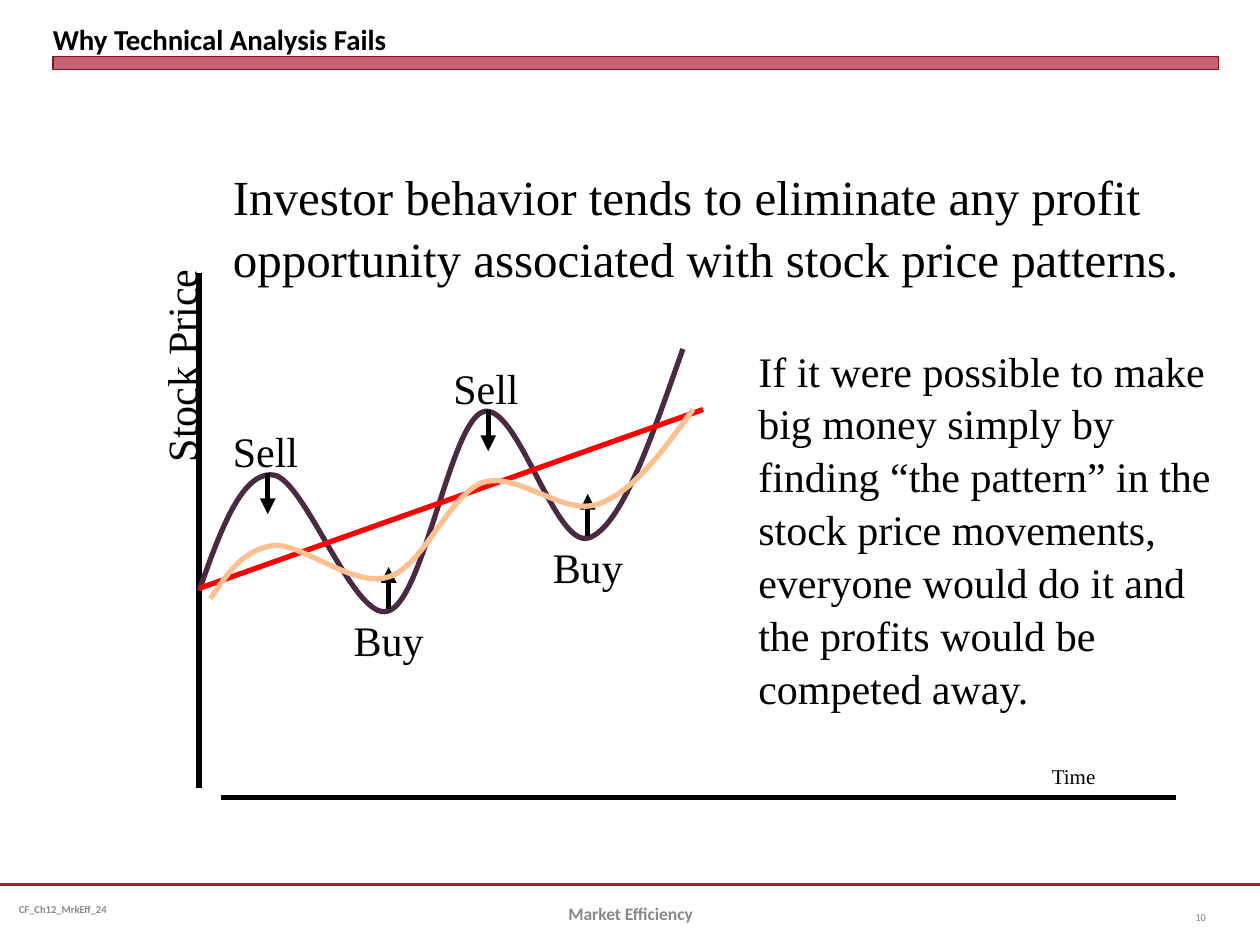
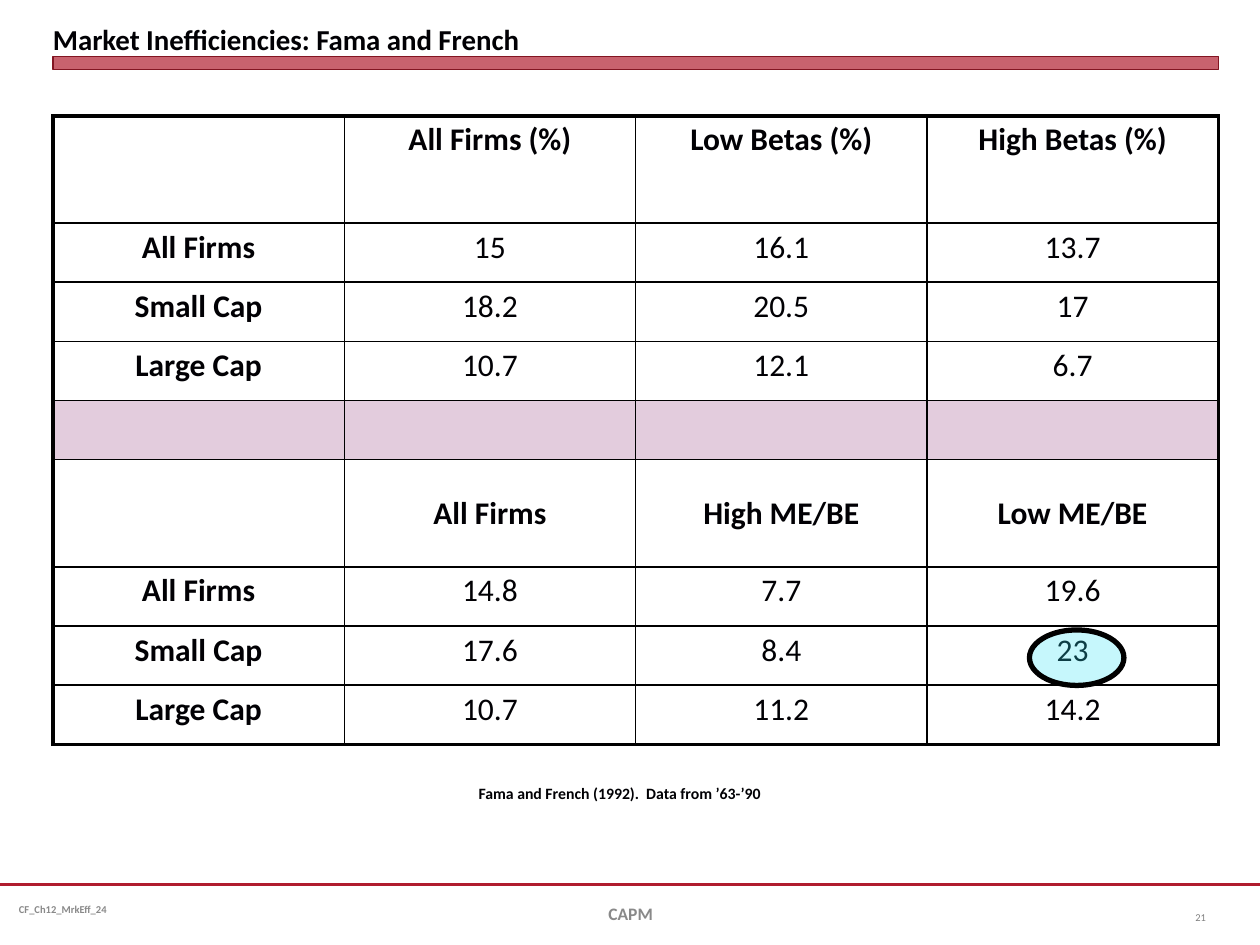
from lxml import etree
from pptx import Presentation
from pptx.dml.color import RGBColor
from pptx.enum.shapes import MSO_CONNECTOR, MSO_SHAPE
from pptx.enum.text import MSO_ANCHOR, PP_ALIGN
from pptx.oxml.ns import qn
from pptx.util import Inches, Pt

STRAIGHT = MSO_CONNECTOR.STRAIGHT
RECTANGLE, OVAL = MSO_SHAPE.RECTANGLE, MSO_SHAPE.OVAL
TOP, MIDDLE, BOTTOM = MSO_ANCHOR.TOP, MSO_ANCHOR.MIDDLE, MSO_ANCHOR.BOTTOM
LEFT, CENTER, RIGHT = PP_ALIGN.LEFT, PP_ALIGN.CENTER, PP_ALIGN.RIGHT

THEME = {
    "colors": {
        "ink": "010004", "black": "000000", "grey": "898989", "number": "808080",
        "crimson": "B01C2E", "bar edge": "821522", "price": "4B2942",
        "trend": "FF0000", "average": "FEC091", "divider": "E3CCDD",
        "highlight": "2EE4F7",
    },
    # style: font, size, bold, colour
    "text": {
        "title": ("Calibri", 16.5, True, "ink"),
        "code": ("Calibri", 6, True, "grey"),
        "topic": ("Calibri", 10, True, "grey"),
        "number": ("Calibri", 6, False, "number"),
        "lead": ("Times New Roman", 28, False, "black"),
        "body": ("Times New Roman", 24, False, "black"),
        "axis": ("Times New Roman", 12, False, "black"),
        "heading": ("Calibri", 18, True, "ink"),
        "value": ("Calibri", 18, False, "ink"),
        "source": ("Calibri", 9, True, "ink"),
    },
}
COLORS = {name: RGBColor.from_string(code) for name, code in THEME["colors"].items()}


def write(frame, text, style, align=LEFT, anchor=TOP, margins=(0.1, 0.05), wrap=True):
    """Fill a text frame with one paragraph in a theme style."""
    across, down = (Inches(margin) for margin in margins)
    layout = {"word_wrap": wrap, "vertical_anchor": anchor,
              "margin_left": across, "margin_right": across,
              "margin_top": down, "margin_bottom": down}
    for name, value in layout.items():
        setattr(frame, name, value)
    para = frame.paragraphs[0]
    para.alignment = align
    span = para.add_run()
    span.text = text
    font, size, bold, color = THEME["text"][style]
    for name, value in {"name": font, "size": Pt(size), "bold": bold}.items():
        setattr(span.font, name, value)
    span.font.color.rgb = COLORS[color]


def draw_line(shapes, start, end, color, width=3, arrow=False):
    """Draw a straight line, with an optional arrowhead at its end."""
    line = shapes.add_connector(STRAIGHT, *map(Inches, start + end))
    line.line.color.rgb = COLORS[color]
    line.line.width = Pt(width)
    if arrow:
        etree.SubElement(line.line._get_or_add_ln(), qn("a:tailEnd"), type="triangle")
    etree.SubElement(line._element.spPr, qn("a:effectLst"))


deck = Presentation()
deck.slide_width, deck.slide_height = Inches(10), Inches(7.5)
blank = deck.slide_layouts[6]

# Shared frame: footer rule, title bar, title and footer texts
pages = []
for title, topic, number in [
    ("Why Technical Analysis Fails", "Market Efficiency", "10"),
    ("Market Inefficiencies: Fama and French", "CAPM", "21"),
]:
    page = deck.slides.add_slide(blank)
    pages.append(page)
    draw_line(page.shapes, (0, 7.02), (10, 7.02), "crimson", 1.25)
    bar = page.shapes.add_shape(RECTANGLE, *map(Inches, (0.42, 0.45, 9.25, 0.1)))
    bar.shadow.inherit = False
    bar.fill.solid()
    bar.fill.fore_color.rgb = COLORS["crimson"]
    etree.SubElement(bar._element.spPr.find(qn("a:solidFill"))[0], qn("a:alpha"), val="69000")
    bar.line.color.rgb = COLORS["bar edge"]
    bar.line.width = Pt(0)
    for place, text, style, align, anchor, margins in [
        ((0.42, 0.05, 9.25, 0.4), title, "title", LEFT, BOTTOM, (0, 0)),
        ((0.08, 7.02, 2.58, 0.4), "CF_Ch12_MrkEff_24", "code", LEFT, MIDDLE, (0.07, 0.04)),
        ((3.42, 7.05, 3.17, 0.4), topic, "topic", CENTER, MIDDLE, (0.1, 0.05)),
        ((9.17, 7.08, 0.5, 0.4), number, "number", RIGHT, MIDDLE, (0.1, 0.05)),
    ]:
        box = page.shapes.add_textbox(*map(Inches, place))
        write(box.text_frame, text, style, align, anchor, margins)
pattern_page, returns_page = pages

# Slide 1: axes and texts
draw_line(pattern_page.shapes, (1.58, 2.17), (1.58, 6.25), "black")
draw_line(pattern_page.shapes, (1.75, 6.33), (9.33, 6.33), "black")
for place, text, style, turn in [
    ((0.45, 2.55, 1.93, 0.5), "Stock Price", "body", 270),
    ((8.25, 6, 1, 0.3), "Time", "axis", 0),
    ((1.75, 1.25, 7.92, 1.03), "Investor behavior tends to eliminate any profit "
     "opportunity associated with stock price patterns.", "lead", 0),
    ((5.92, 2.67, 3.92, 2.9), "If it were possible to make big money simply by finding "
     "“the pattern” in the stock price movements, everyone would do it and the profits "
     "would be competed away.", "body", 0),
]:
    box = pattern_page.shapes.add_textbox(*map(Inches, place))
    box.rotation = turn
    write(box.text_frame, text, style)
    box.text_frame.paragraphs[0].line_spacing = 1.05

# Price and moving average curves: a start, then three points per Bezier segment
price = [(1.58, 4.69), (1.75, 4.21), (1.92, 3.74), (2.17, 3.77), (2.42, 3.8),
         (2.81, 4.94), (3.08, 4.85), (3.36, 4.77), (3.57, 3.37), (3.83, 3.27),
         (4.1, 3.17), (4.4, 4.35), (4.67, 4.27), (4.93, 4.19), (5.17, 3.48), (5.42, 2.77)]
average = [(1.67, 4.75), (1.8, 4.56), (1.93, 4.36), (2.17, 4.33), (2.4, 4.31),
           (2.81, 4.67), (3.08, 4.58), (3.36, 4.5), (3.56, 3.93), (3.83, 3.83),
           (4.11, 3.74), (4.47, 4.1), (4.75, 4), (5.03, 3.9), (5.26, 3.58), (5.5, 3.25)]
curves = {}
for name, points in {"price": price, "average": average}.items():
    start, *controls = [(Inches(x), Inches(y)) for x, y in points]
    builder = pattern_page.shapes.build_freeform(*start)
    builder.add_line_segments(controls, close=False)
    curve = curves[name] = builder.convert_to_shape()
    curve.shadow.inherit = False
    curve.fill.background()
    curve.line.color.rgb = COLORS[name]
    curve.line.width = Pt(3)
    outline = curve._element.spPr.find(".//" + qn("a:path"))
    steps = outline.findall(qn("a:lnTo"))
    for first in range(0, len(steps), 3):
        bend = etree.SubElement(outline, qn("a:cubicBezTo"))
        for step in steps[first:first + 3]:
            bend.append(step[0])
            outline.remove(step)
draw_line(pattern_page.shapes, (1.58, 4.67), (5.58, 3.25), "trend")

# Trading signals: a label with an arrow from the curve
for text, left, top, width, align, arrow_start, arrow_end in [
    ("Sell", 1.75, 3.33, 0.75, LEFT, 0.42, 0.75),
    ("Sell", 3.5, 2.83, 0.75, LEFT, 0.42, 0.75),
    ("Buy", 2.67, 4.83, 0.83, CENTER, 0, -0.33),
    ("Buy", 4.25, 4.25, 0.83, CENTER, 0, -0.33),
]:
    signal = pattern_page.shapes.add_group_shape().shapes
    middle = left + width / 2
    draw_line(signal, (middle, top + arrow_start), (middle, top + arrow_end), "black", arrow=True)
    box = signal.add_textbox(*map(Inches, (left, top, width, 0.5)))
    write(box.text_frame, text, "body", align)

# The average passes in front of the signals
pattern_page.shapes._spTree.append(curves["average"]._element)

# Slide 2: returns table
returns = [
    ("", "All Firms (%)", "Low Betas (%)", "High Betas (%)"),
    ("All Firms", "15", "16.1", "13.7"),
    ("Small Cap", "18.2", "20.5", "17"),
    ("Large Cap", "10.7", "12.1", "6.7"),
    ("", "", "", ""),
    ("", "All Firms", "High ME/BE", "Low ME/BE"),
    ("All Firms", "14.8", "7.7", "19.6"),
    ("Small Cap", "17.6", "8.4", "23"),
    ("Large Cap", "10.7", "11.2", "14.2"),
]
header_rows, divider_row = (0, 5), 4
last_row, last_column = len(returns) - 1, len(returns[0]) - 1
table = returns_page.shapes.add_table(
    len(returns), len(returns[0]), *map(Inches, (0.42, 0.92, 9.25, 5))).table
table.first_row = table.horz_banding = False
for r, row in enumerate(returns):
    table.rows[r].height = Inches(0.85 if r in header_rows else 0.47)
    for c, text in enumerate(row):
        cell = table.cell(r, c)
        style = "heading" if r in header_rows or c == 0 else "value"
        if text:
            write(cell.text_frame, text, style, CENTER)
        cell.vertical_anchor = MIDDLE if r == header_rows[1] else TOP
        cell.margin_left = cell.margin_right = Inches(0.07)
        cell.margin_top = cell.margin_bottom = Inches(0.04)
        if r == divider_row:
            cell.fill.solid()
            cell.fill.fore_color.rgb = COLORS["divider"]
        else:
            cell.fill.background()
        outer_sides = {"lnL": c == 0, "lnR": c == last_column,
                       "lnT": r == 0, "lnB": r == last_row}
        for place, (side, outer) in enumerate(outer_sides.items()):
            border = etree.Element(qn("a:" + side), w=str(Pt(2.25 if outer else 1)))
            paint = etree.SubElement(border, qn("a:solidFill"))
            etree.SubElement(paint, qn("a:srgbClr"), val=THEME["colors"]["black"])
            cell._tc.get_or_add_tcPr().insert(place, border)

# Data source and highlighted return
box = returns_page.shapes.add_textbox(*map(Inches, (3.7, 6.17, 2.47, 0.25)))
write(box.text_frame, "Fama and French (1992).  Data from ’63-’90", "source", wrap=False)
ring = returns_page.shapes.add_shape(OVAL, *map(Inches, (8.17, 5, 0.75, 0.44)))
ring.shadow.inherit = False
ring.fill.solid()
ring.fill.fore_color.rgb = COLORS["highlight"]
etree.SubElement(ring._element.spPr.find(qn("a:solidFill"))[0], qn("a:alpha"), val="27000")
ring.line.color.rgb = COLORS["black"]
ring.line.width = Pt(3)

deck.save("out.pptx")
